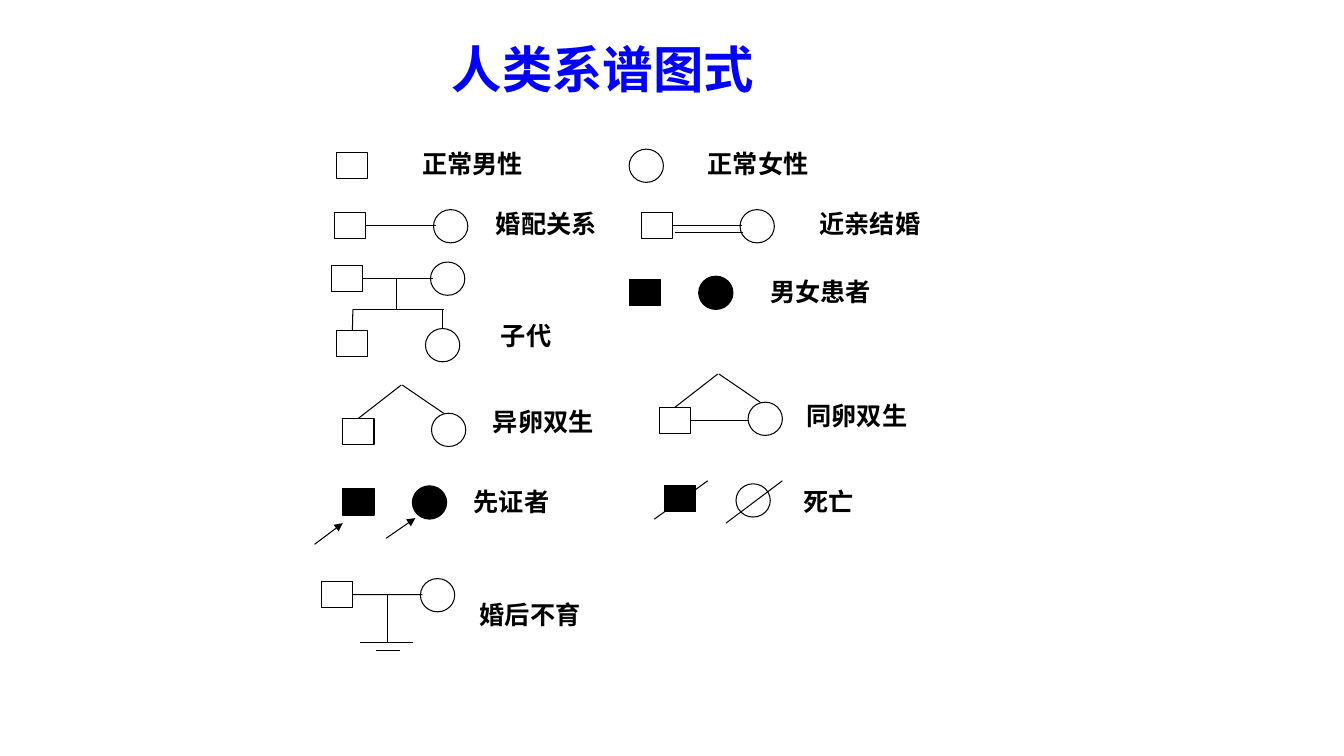
from dataclasses import dataclass

from pptx import Presentation
from pptx.dml.color import RGBColor
from pptx.enum.lang import MSO_LANGUAGE_ID
from pptx.enum.shapes import MSO_CONNECTOR, MSO_SHAPE
from pptx.enum.text import MSO_ANCHOR, MSO_AUTO_SIZE, PP_ALIGN
from pptx.oxml.ns import qn
from pptx.util import Inches, Pt

TOP, RIGHT = 0, 3


@dataclass(frozen=True)
class Theme:
    """Colours, type sizes and symbol sizes of the chart."""
    ink: RGBColor = RGBColor(0, 0, 0)
    paper: RGBColor = RGBColor(255, 255, 255)
    title: RGBColor = RGBColor(0, 0, 255)
    font: str = "Arial"
    title_size: int = 36
    label_size: int = 18
    line_width: float = 0.75
    male_size: tuple = (0.31, 0.26)
    female_size: tuple = (0.34, 0.33)
    label_box: tuple = (1.24, 0.44)


def write_text(shape, text, *, font, size, color, align=PP_ALIGN.LEFT, margin_left=0.1):
    """Write one bold, top-anchored paragraph into a shape."""
    frame = shape.text_frame
    frame.word_wrap = True
    frame.vertical_anchor = MSO_ANCHOR.TOP
    frame.margin_left = Inches(margin_left)
    paragraph = frame.paragraphs[0]
    paragraph.alignment = align
    run = paragraph.add_run()
    run.text = text
    run.font.name = font
    run.font.size = Pt(size)
    run.font.bold = True
    run.font.color.rgb = color
    run.font.language_id = MSO_LANGUAGE_ID.SIMPLIFIED_CHINESE


class PedigreeChart:
    """Draws pedigree symbols on the current slide."""

    def __init__(self, slide, theme):
        """Keep the slide and its style."""
        self.slide = slide
        self.theme = theme

    def box(self, kind, left, top, size, fill, line):
        """Add a filled and outlined preset shape."""
        shape = self.slide.shapes.add_shape(
            kind, Inches(left), Inches(top), *map(Inches, size))
        shape.shadow.inherit = False
        shape.fill.solid()
        shape.fill.fore_color.rgb = fill
        shape.line.color.rgb = line
        shape.line.width = Pt(self.theme.line_width)
        return shape

    def male(self, left, top, affected=False):
        """Add the square for a male."""
        theme = self.theme
        fill = theme.ink if affected else theme.paper
        return self.box(MSO_SHAPE.RECTANGLE, left, top, theme.male_size, fill, theme.ink)

    def female(self, left, top, affected=False):
        """Add the circle for a female."""
        theme = self.theme
        fill = theme.ink if affected else theme.paper
        return self.box(MSO_SHAPE.OVAL, left, top, theme.female_size, fill, theme.ink)

    def line(self, x1, y1, x2, y2, arrow=False):
        """Add a straight line, with an arrowhead at its end if asked."""
        connector = self.slide.shapes.add_connector(
            MSO_CONNECTOR.STRAIGHT, *map(Inches, (x1, y1, x2, y2)))
        connector.line.color.rgb = self.theme.ink
        connector.line.width = Pt(self.theme.line_width)
        properties = connector.line._get_or_add_ln()
        if arrow:
            tail = properties.makeelement(qn("a:tailEnd"), {"type": "triangle"})
            properties.append(tail)
        properties.addnext(properties.makeelement(qn("a:effectLst"), {}))
        return connector

    def couple(self, left, top):
        """Add a square and a circle joined by a marriage line."""
        husband = self.male(left, top)
        self.female(left + 0.98, top - 0.03)
        middle = top + self.theme.male_size[1] / 2
        marriage = self.line(left + 0.31, middle, left + 1, middle)
        marriage.begin_connect(husband, RIGHT)

    def twins(self, left, top):
        """Add a square and a circle hanging from one point, and return the square."""
        brother = self.male(left, top)
        self.female(left + 0.88, top - 0.05)
        self.line(left + 0.16, top, left + 0.58, top - 0.33).begin_connect(brother, TOP)
        self.line(left + 0.59, top - 0.33, left + 1, top - 0.05)
        return brother

    def label(self, text, left, top):
        """Add the name of a symbol."""
        theme = self.theme
        shape = self.box(MSO_SHAPE.RECTANGLE, left, top, theme.label_box,
                         theme.paper, theme.paper)
        write_text(shape, text, font=theme.font, size=theme.label_size,
                   color=theme.ink, align=PP_ALIGN.JUSTIFY)

    def title(self, text, left, top, width, height):
        """Add the slide title."""
        theme = self.theme
        shape = self.slide.shapes.add_textbox(*map(Inches, (left, top, width, height)))
        write_text(shape, text, font=theme.font, size=theme.title_size,
                   color=theme.title, margin_left=0.23)
        shape.text_frame.auto_size = MSO_AUTO_SIZE.SHAPE_TO_FIT_TEXT


LABELS = [
    ("正常男性", 4.09, 1.42), ("正常女性", 6.92, 1.42),
    ("婚配关系", 4.82, 2.02), ("近亲结婚", 8.03, 2.02),
    ("子代", 4.87, 3.13), ("男女患者", 7.54, 2.69),
    ("异卵双生", 4.79, 3.98), ("同卵双生", 7.9, 3.92),
    ("先证者", 4.6, 4.78), ("死亡", 7.87, 4.78),
    ("婚后不育", 4.66, 5.9),
]


def draw_families(chart):
    """Draw marriages, offspring and childless couples."""
    for left, top in [(3.32, 2.11), (6.36, 2.11), (3.29, 2.63), (3.19, 5.77)]:
        chart.couple(left, top)
    chart.line(6.69, 2.31, 7.37, 2.31)

    son = chart.male(3.34, 3.28)
    chart.female(4.22, 3.26)
    chart.line(3.93, 2.76, 3.93, 3.07)
    chart.line(3.5, 3.07, 4.4, 3.07)
    chart.line(3.5, 3.07, 3.5, 3.28).end_connect(son, TOP)
    chart.line(4.39, 3.07, 4.39, 3.26)

    chart.line(3.84, 5.9, 3.84, 6.37)
    chart.line(3.57, 6.37, 4.1, 6.37)
    chart.line(3.73, 6.45, 3.97, 6.45)


def draw_individuals(chart):
    """Draw single people, twins, probands and the deceased."""
    chart.male(3.34, 1.51)
    chart.female(6.24, 1.48)
    for left, top in [(6.24, 2.77), (3.4, 4.85)]:
        chart.male(left, top, affected=True)
        chart.female(left + 0.69, top - 0.03, affected=True)
    chart.line(3.12, 5.4, 3.4, 5.19, arrow=True)
    chart.line(3.83, 5.34, 4.12, 5.14, arrow=True)

    chart.twins(3.4, 4.15)
    identical = chart.twins(6.54, 4.04)
    chart.line(6.85, 4.17, 7.42, 4.17).begin_connect(identical, RIGHT)

    chart.female(7.3, 4.8)
    chart.male(6.59, 4.82, affected=True)
    chart.line(6.49, 5.15, 7.02, 4.77)
    chart.line(7.2, 5.19, 7.76, 4.77)


def main():
    """Build and save the slide."""
    presentation = Presentation()
    presentation.slide_width = Inches(13.33)
    presentation.slide_height = Inches(7.5)
    slide = presentation.slides.add_slide(presentation.slide_layouts[6])
    chart = PedigreeChart(slide, Theme())
    for text, left, top in LABELS:
        chart.label(text, left, top)
    draw_families(chart)
    draw_individuals(chart)
    chart.title("人类系谱图式", 4.25, 0.33, 6.25, 0.7)
    presentation.save("out.pptx")


if __name__ == "__main__":
    main()
